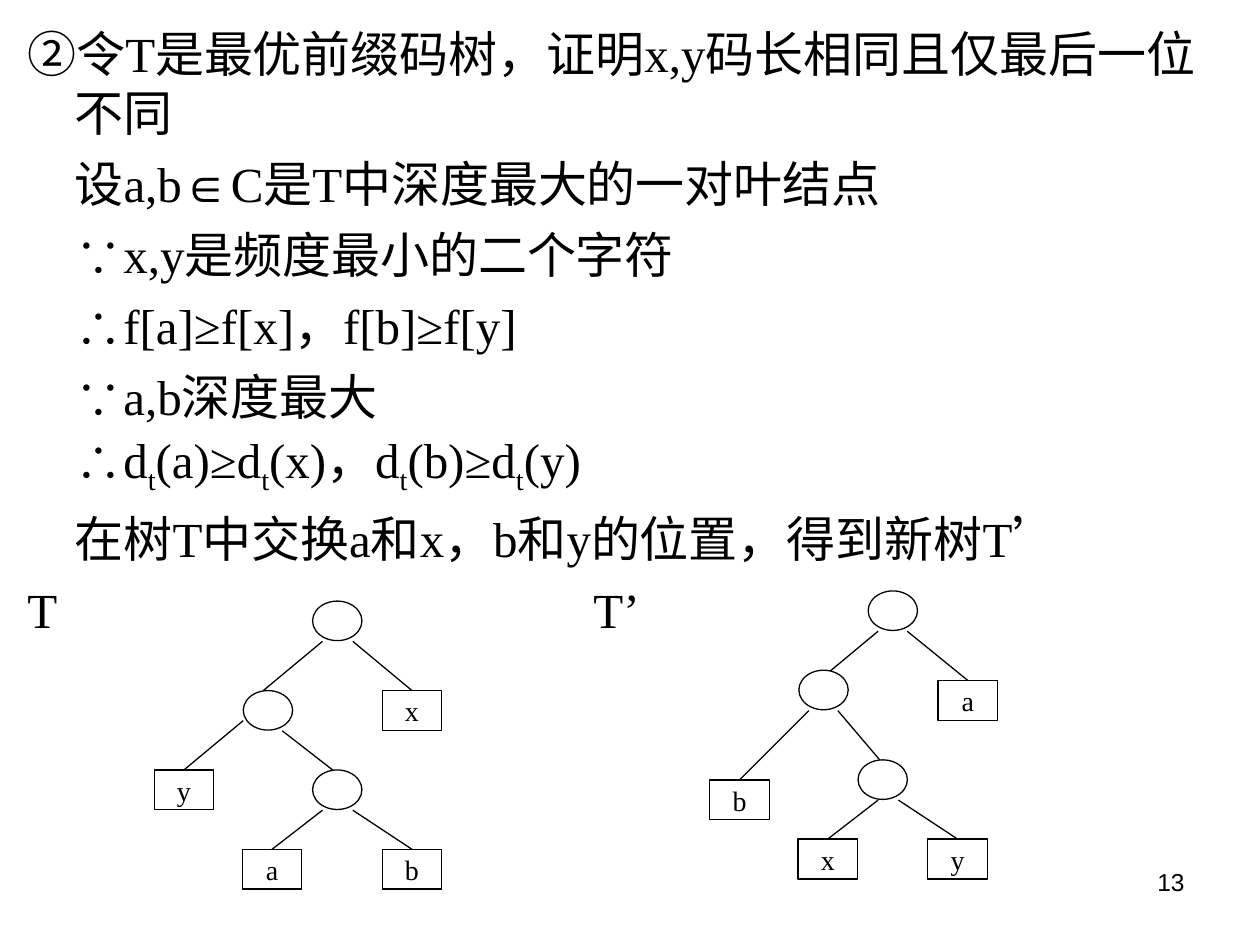
"""Builds a slide proving a property of optimal prefix codes, with trees T and T'."""
from lxml import etree
from pptx import Presentation
from pptx.dml.color import RGBColor
from pptx.enum.shapes import MSO_CONNECTOR, MSO_SHAPE
from pptx.enum.text import MSO_ANCHOR, PP_ALIGN
from pptx.oxml.ns import qn
from pptx.util import Pt

BLACK = RGBColor(0, 0, 0)
WHITE = RGBColor(255, 255, 255)
SERIF = "Times New Roman"
CHINESE = "Noto Sans CJK SC"
HANGING = 27
NODE_SIZE = (28.2, 22.6)
LEAF_SIZE = (34, 22.8)
LINE_WIDTH = 0.74

PROOF = [
    "②令T是最优前缀码树，证明x,y码长相同且仅最后一位不同",
    "设a,b∈C是T中深度最大的一对叶结点",
    "∵x,y是频度最小的二个字符",
    "∴f[a]≥f[x]，f[b]≥f[y]",
    "∵a,b深度最大",
    "∴d_t_(a)≥d_t_(x)，d_t_(b)≥d_t_(y)",
    "在树T中交换a和x，b和y的位置，得到新树T’",
    "T\tT’",
]

TREES = [
    {
        "nodes": [(178.6, 343.5), (139, 394.6), (178.6, 440)],
        "edges": [
            (184.3, 366.5, 150.5, 394.6, ""),
            (201.6, 366.5, 235.4, 394.6, "x"),
            (139, 411.8, 105.1, 440, "y"),
            (161.3, 417.6, 190.1, 440, ""),
            (184.3, 463, 155.5, 485.3, "a"),
            (201.6, 463, 235.4, 485.3, "b"),
        ],
    },
    {
        "nodes": [(496.1, 337.7), (456.5, 383), (490.3, 434.2)],
        "edges": [
            (501.8, 360.7, 468, 388.8, ""),
            (518.4, 360.7, 553, 388.8, "a"),
            (462.2, 406.1, 422.6, 445.7, "b"),
            (478.8, 406.1, 507.6, 440, ""),
            (501.8, 457.2, 473, 479.5, "x"),
            (513.4, 457.2, 547.2, 479.5, "y"),
        ],
    },
]


def add_span(para, text, size=28, font=SERIF, subscript=False):
    span = para.add_run()
    span.text = text
    span.font.size = Pt(size)
    span.font.name = font
    span.font.color.rgb = BLACK
    properties = span.font._element
    etree.SubElement(properties, qn("a:ea"), typeface=CHINESE)
    if subscript:
        properties.set("baseline", "-25000")


def add_node(kind, left, top, size):
    node = page.shapes.add_shape(kind, Pt(left), Pt(top), Pt(size[0]), Pt(size[1]))
    node.shadow.inherit = False
    node.fill.solid()
    node.fill.fore_color.rgb = WHITE
    node.line.color.rgb = BLACK
    node.line.width = Pt(LINE_WIDTH)
    return node


deck = Presentation()
deck.slide_width, deck.slide_height = Pt(720), Pt(540)
page = deck.slides.add_slide(deck.slide_layouts[6])

proof_box = page.shapes.add_textbox(Pt(8.6), Pt(10), Pt(702.7), Pt(516))
proof_box.text_frame.word_wrap = True
for index, line in enumerate(PROOF):
    frame = proof_box.text_frame
    para = frame.add_paragraph() if index else frame.paragraphs[0]
    para.line_spacing = Pt(33.6)
    para.space_before = Pt(7 if index else 0)
    layout = para._p.get_or_add_pPr()
    if "\t" in line:
        stops = etree.SubElement(layout, qn("a:tabLst"))
        etree.SubElement(stops, qn("a:tab"), pos=str(Pt(323.5)), algn="l")
    else:
        layout.set("marL", str(Pt(HANGING)))
        layout.set("indent", str(0 if index else Pt(-HANGING)))
    for position, piece in enumerate(line.split("_")):
        add_span(para, piece, subscript=position % 2 == 1)

for tree in TREES:
    for x1, y1, x2, y2, label in tree["edges"]:
        edge = page.shapes.add_connector(
            MSO_CONNECTOR.STRAIGHT, Pt(x1), Pt(y1), Pt(x2), Pt(y2))
        edge.line.color.rgb = BLACK
        edge.line.width = Pt(LINE_WIDTH)
        etree.SubElement(edge._element.spPr, qn("a:effectLst"))
        if label:
            leaf = add_node(MSO_SHAPE.RECTANGLE, x2 - LEAF_SIZE[0] / 2, y2, LEAF_SIZE)
            leaf.text_frame.word_wrap = False
            leaf.text_frame.vertical_anchor = MSO_ANCHOR.MIDDLE
            para = leaf.text_frame.paragraphs[0]
            para.alignment = PP_ALIGN.CENTER
            add_span(para, label, size=16)
    for left, top in tree["nodes"]:
        add_node(MSO_SHAPE.OVAL, left, top, NODE_SIZE)

number_box = page.shapes.add_textbox(Pt(516.2), Pt(491.8), Pt(167.8), Pt(37.4))
number_box.text_frame.word_wrap = True
para = number_box.text_frame.paragraphs[0]
para.alignment = PP_ALIGN.RIGHT
add_span(para, "13", size=14, font="Arial")

deck.save("out.pptx")
